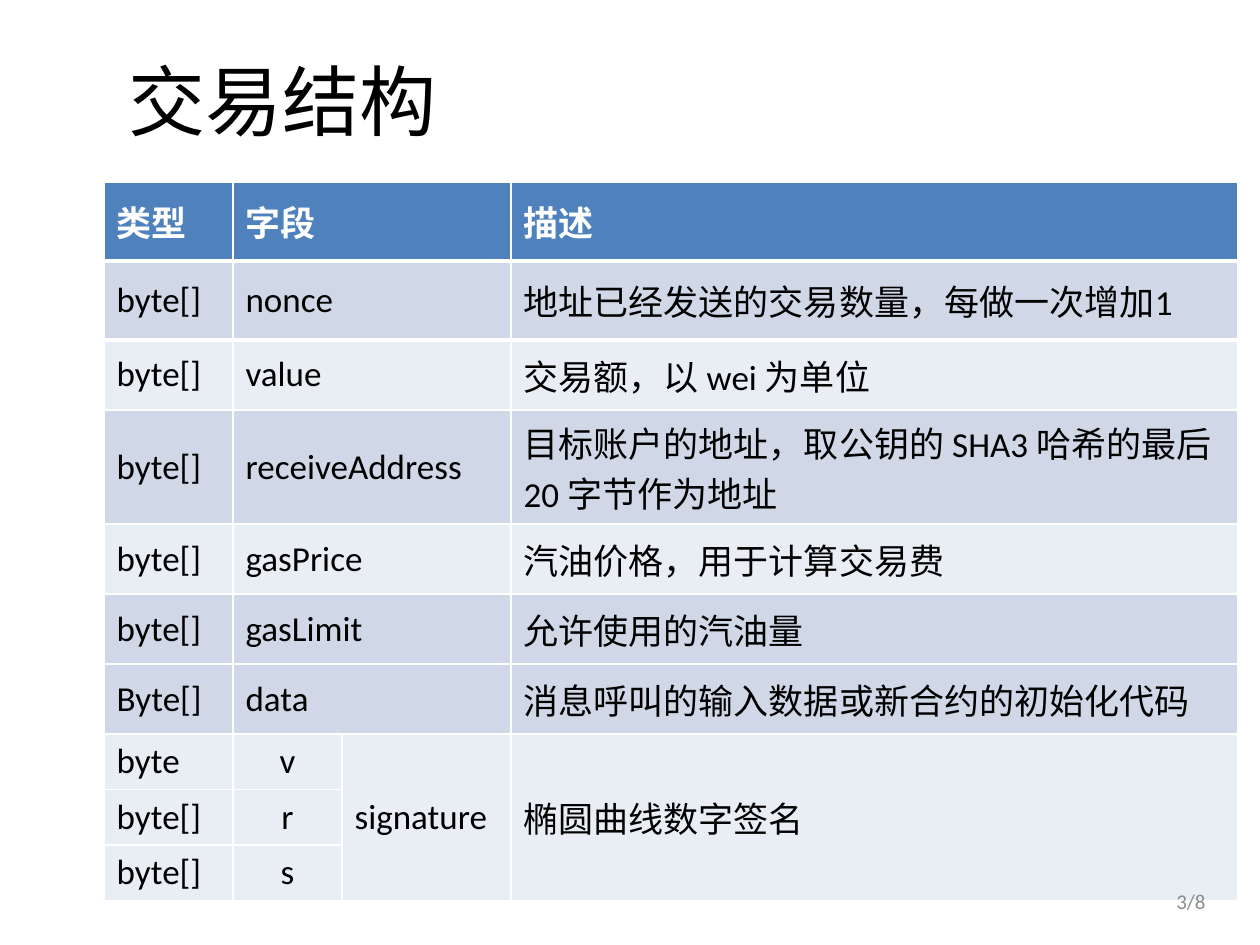
from lxml.etree import SubElement
from pptx import Presentation
from pptx.dml.color import RGBColor
from pptx.enum.text import MSO_ANCHOR, PP_ALIGN
from pptx.oxml.ns import qn
from pptx.util import Emu, Pt


def px(n):
    return Emu(round(n * 914400 / 126))


def style(para, size, color, bold=False, align=PP_ALIGN.LEFT):
    para.alignment = align
    font = para.font
    font.name = "Calibri"
    font.size = Pt(size)
    font.bold = bold
    font.color.rgb = RGBColor.from_string(color)


deck = Presentation()
deck.slide_width, deck.slide_height = px(1260), px(945)
slide = deck.slides.add_slide(deck.slide_layouts[6])

# Title
labels = [
    ("交易结构", (116, 21, 713, 158), 44, "000000", PP_ALIGN.LEFT),
    ("3/8", (924, 876, 294, 50), 12, "8C8C8C", PP_ALIGN.RIGHT),
]

# Table content: type, field, group, description
HEAD, DARK, LIGHT = "4F81BD", "D0D8E8", "E9EDF4"
rows = [
    (79, HEAD, "类型", "字段", "", "描述"),
    (79, DARK, "byte[]", "nonce", "", "地址已经发送的交易数量，每做一次增加1"),
    (70, LIGHT, "byte[]", "value", "", "交易额，以 wei 为单位"),
    (114, DARK, "byte[]", "receiveAddress", "",
     "目标账户的地址，取公钥的 SHA3 哈希的最后 20 字节作为地址"),
    (70, LIGHT, "byte[]", "gasPrice", "", "汽油价格，用于计算交易费"),
    (70, DARK, "byte[]", "gasLimit", "", "允许使用的汽油量"),
    (70, DARK, "Byte[]", "data", "", "消息呼叫的输入数据或新合约的初始化代码"),
    (55, LIGHT, "byte", "v", "signature", "椭圆曲线数字签名"),
    (55, LIGHT, "byte[]", "r", "", ""),
    (55, LIGHT, "byte[]", "s", "", ""),
]
widths = [129, 109, 169, 727]
first = 7  # first signature row

# Table grid, whose default style draws the thin white borders
table = slide.shapes.add_table(
    len(rows), len(widths), px(104), px(182),
    px(sum(widths)), px(sum(row[0] for row in rows))).table
for col, width in zip(table.columns, widths):
    col.width = px(width)

# Merged cells
for r in range(first):
    table.cell(r, 1).merge(table.cell(r, 2))
for c in (2, 3):
    table.cell(first, c).merge(table.cell(len(rows) - 1, c))

# Cell text, fill and the thick rule under the header
for r, (height, fill, *texts) in enumerate(rows):
    table.rows[r].height = px(height)
    for c, text in enumerate(texts):
        cell = table.cell(r, c)
        if r < 2:
            props = cell._tc.get_or_add_tcPr()
            edge = SubElement(props, qn("a:lnB" if r == 0 else "a:lnT"),
                              w=str(Pt(3)))
            paint = SubElement(edge, qn("a:solidFill"))
            SubElement(paint, qn("a:srgbClr"), val="FFFFFF")
        cell.fill.solid()
        cell.fill.fore_color.rgb = RGBColor.from_string(fill)
        if cell.is_spanned:
            continue
        cell.vertical_anchor = MSO_ANCHOR.MIDDLE
        cell.text = text
        para = cell.text_frame.paragraphs[0]
        para.space_before = Pt(4)
        mid = r >= first and c == 1
        style(para, 20, "FFFFFF" if r == 0 else "000000", r == 0,
              PP_ALIGN.CENTER if mid else PP_ALIGN.LEFT)

# Title and page number, in front of the table
for text, place, size, color, align in labels:
    frame = slide.shapes.add_textbox(*map(px, place)).text_frame
    frame.word_wrap = True
    frame.vertical_anchor = MSO_ANCHOR.MIDDLE
    frame.text = text
    style(frame.paragraphs[0], size, color, align=align)

deck.save("out.pptx")
